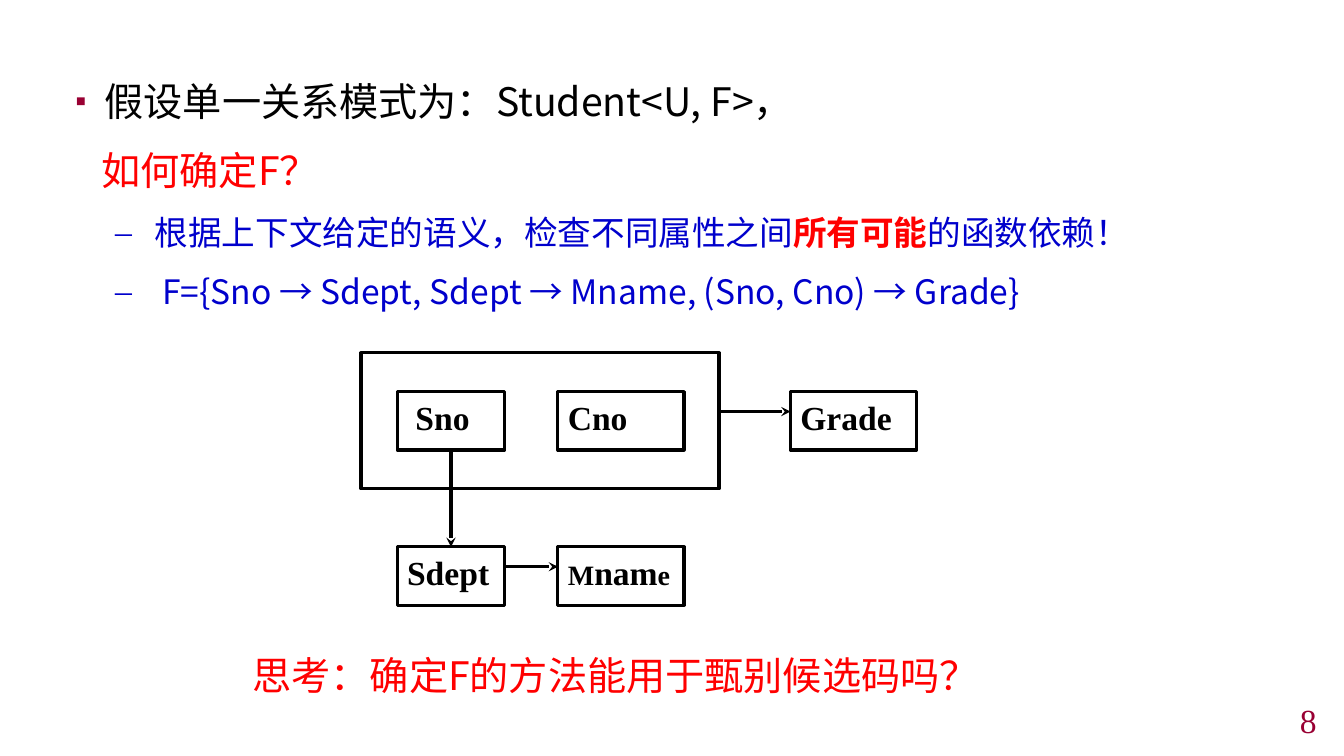
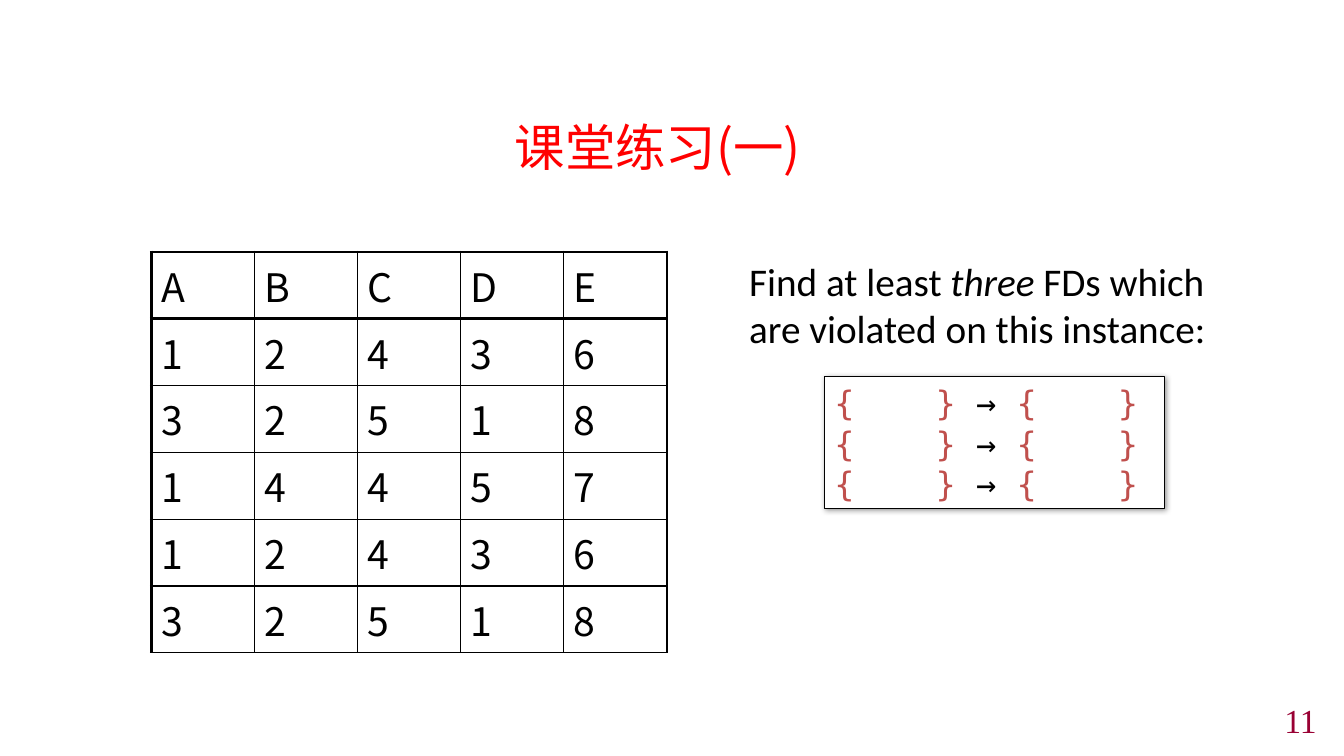
from dataclasses import dataclass

from lxml import etree
from pptx import Presentation
from pptx.dml.color import RGBColor as RGB
from pptx.enum.shapes import MSO_CONNECTOR as CONN, MSO_SHAPE as SHAPE
from pptx.enum.text import MSO_ANCHOR as ANCHOR, PP_ALIGN as ALIGN
from pptx.oxml.ns import qn
from pptx.util import Cm, Pt


@dataclass(frozen=True)
class Theme:
    ink: str = "000000"
    paper: str = "FFFFFF"
    red: str = "FF0000"
    blue: str = "0000CC"
    wine: str = "990033"
    brace: str = "C0504D"
    cjk: str = "Noto Sans CJK SC"
    serif: str = "Times New Roman"
    sans: str = "Calibri"
    mono: str = "DejaVu Sans Mono"
    title: int = 36
    body: int = 28
    small: int = 24
    tiny: int = 20
    spacing: float = 1.3
    thick: float = 2.25
    thin: float = 1
    hair: float = 0.75


T = Theme()


# ---- shared helpers ----
def sub(parent, tag, **attrs):
    return etree.SubElement(parent, qn(tag), attrs)


def add_par(tf, runs, font, size, color, align=ALIGN.LEFT, before=0, spacing=1.0):
    """Add a paragraph; each run is a text or (text, {color, size, bold, italic})."""
    p = tf.paragraphs[0]
    if p.runs:
        p = tf.add_paragraph()
    p.alignment = align
    p.line_spacing = spacing
    p.space_before = Pt(before)
    for item in runs:
        text, look = (item, {}) if isinstance(item, str) else item
        r = p.add_run()
        r.text = text
        r.font.name = font
        r.font.size = Pt(look.get("size", size))
        r.font.bold = look.get("bold", False)
        r.font.italic = look.get("italic", False)
        r.font.color.rgb = RGB.from_string(look.get("color", color))
        sub(r.font._element, "a:ea", typeface=font)
    return p


def set_indent(p, left, first=0, bullet=None, color=None, percent=100, font=None):
    pPr = p._p.get_or_add_pPr()
    pPr.set("marL", str(Cm(left)))
    pPr.set("indent", str(Cm(first)))
    if bullet:
        if color:
            sub(sub(pPr, "a:buClr"), "a:srgbClr", val=color)
        sub(pPr, "a:buSzPct", val=str(percent * 1000))
        if font:
            sub(pPr, "a:buFont", typeface=font)
        sub(pPr, "a:buChar", char=bullet)


def add_text(s, x, y, w, h, anchor=ANCHOR.TOP):
    tf = s.shapes.add_textbox(Cm(x), Cm(y), Cm(w), Cm(h)).text_frame
    tf.word_wrap = True
    tf.vertical_anchor = anchor
    return tf


def add_rect(s, x, y, w, h, fill=None, weight=T.thick):
    sp = s.shapes.add_shape(SHAPE.RECTANGLE, Cm(x), Cm(y), Cm(w), Cm(h))
    sp.shadow.inherit = False
    if fill:
        sp.fill.solid()
        sp.fill.fore_color.rgb = RGB.from_string(fill)
    else:
        sp.fill.background()
    sp.line.color.rgb = RGB.from_string(T.ink)
    sp.line.width = Pt(weight)
    sp.text_frame.word_wrap = True
    sp.text_frame.vertical_anchor = ANCHOR.TOP
    return sp


def add_arrow(s, x1, y1, x2, y2):
    c = s.shapes.add_connector(CONN.STRAIGHT, Cm(x1), Cm(y1), Cm(x2), Cm(y2))
    c.line.color.rgb = RGB.from_string(T.ink)
    c.line.width = Pt(T.thick)
    sub(c.line._get_or_add_ln(), "a:tailEnd", type="stealth")
    sub(c._element.spPr, "a:effectLst")
    return c


def new_slide(prs, number):
    s = prs.slides.add_slide(prs.slide_layouts[6])
    tf = add_text(s, 26.24, 17.75, 7.19, 0.79, ANCHOR.MIDDLE)
    add_par(tf, [number], T.serif, T.small, T.wine, ALIGN.RIGHT)
    return s


# ---- slide 1: dependencies of a relation ----
def add_outline(s, x, y, w, h):
    tf = add_text(s, x, y, w, h)
    p = add_par(tf, ["假设单一关系模式为：Student<U, F>，"], T.cjk, T.body, T.ink,
                spacing=T.spacing)
    set_indent(p, 0.74, -0.74, "▪", T.wine, 80, T.serif)
    p = add_par(tf, ["如何确定F？"], T.cjk, T.body, T.red,
                before=0.2 * T.body, spacing=T.spacing)
    set_indent(p, 0.66)
    details = [
        ["根据上下文给定的语义，检查不同属性之间",
         ("所有可能", {"color": T.red, "bold": True}), "的函数依赖！"],
        [" F={Sno → Sdept, Sdept → Mname, (Sno, Cno) → Grade}"],
    ]
    for runs in details:
        p = add_par(tf, runs, T.cjk, T.small, T.blue,
                    before=0.2 * T.small, spacing=T.spacing)
        set_indent(p, 2, -1, "–")


def add_diagram(s, x, y):
    key_w, key_h = 9.02, 3.43
    narrow, wide, box_h = 2.71, 3.18, 1.47
    left, middle, right = x + 0.91, x + 4.96, x + 10.82
    upper, lower = y + 0.98, y + 4.89
    arrow_drop = 0.5  # side arrows start this far below a box's top edge

    # composite key and attributes
    add_rect(s, x, y, key_w, key_h)
    tiny = {"size": T.tiny}
    attributes = {
        "Sno": (left, upper, narrow, [" Sno"]),
        "Cno": (middle, upper, wide, ["Cno"]),
        "Sdept": (left, lower, narrow, ["Sdept"]),
        "Mname": (middle, lower, wide, [("M", tiny), "nam", ("e", tiny)]),
        "Grade": (right, upper, wide, ["Grade"]),
    }
    boxes = {}
    for name, (bx, by, bw, runs) in attributes.items():
        sp = boxes[name] = add_rect(s, bx, by, bw, box_h)
        p = add_par(sp.text_frame, runs, T.serif, T.small, T.ink, ALIGN.JUSTIFY)
        for r in p.runs:
            r.font.bold = True

    # dependencies
    mid = left + narrow / 2
    c = add_arrow(s, mid, upper + box_h, mid, lower)
    c.begin_connect(boxes["Sno"], 2)
    c.end_connect(boxes["Sdept"], 0)
    for start, end, top in ((left + narrow, middle, lower),
                            (x + key_w, right, upper)):
        add_arrow(s, start, top + arrow_drop, end, top + arrow_drop)


def build_dependencies(prs):
    s = new_slide(prs, "8")
    add_outline(s, 1.65, 1.47, 30.58, 16.66)
    add_diagram(s, 9.1, 8.89)
    tf = add_text(s, 4.72, 16.28, 21.59, 1.45)
    add_par(tf, ["思考：确定F的方法能用于甄别候选码吗？"], T.cjk, T.body, T.red,
            ALIGN.CENTER)


# ---- slide 2: exercise ----
def set_border(cell, **weights):
    tcPr = cell._tc.get_or_add_tcPr()
    for side in "LRTB":
        ln = sub(tcPr, f"a:ln{side}", w=str(Pt(weights.get(side, T.thin))))
        sub(sub(ln, "a:solidFill"), "a:srgbClr", val=T.ink)


def add_instance(s, x, y, w, h):
    rows = ["ABCDE", "12436", "32518", "14457", "12436", "32518"]
    frame = s.shapes.add_table(len(rows), len(rows[0]), Cm(x), Cm(y), Cm(w), Cm(h))
    table = frame.table
    table.first_row = table.horz_banding = False
    for i, row in enumerate(rows):
        for j, value in enumerate(row):
            cell = table.cell(i, j)
            add_par(cell.text_frame, [value], T.cjk, T.body, T.ink)
            set_border(cell,
                       L=T.thick if j == 0 else T.thin,
                       T=T.thick if i < 2 else T.thin,
                       B=T.thick if i == 0 else T.thin)
            cell.fill.background()


def add_answer_box(s, x, y, w, h):
    sp = add_rect(s, x, y, w, h, T.paper, T.hair)
    effects = sp._element.spPr.find(qn("a:effectLst"))
    shadow = sub(effects, "a:outerShdw", blurRad=str(Pt(4)), dist=str(Pt(1)),
                 dir="2700000", algn="tl", rotWithShape="0")
    sub(sub(shadow, "a:srgbClr", val=T.ink), "a:alpha", val="40000")
    tf = sp.text_frame
    tf.vertical_anchor = ANCHOR.MIDDLE
    for _ in range(3):
        p = add_par(tf, ["{\t} ", ("→ ", {"color": T.ink}), "{\t}"],
                    T.mono, T.small, T.brace)
        tabs = sub(p._p.get_or_add_pPr(), "a:tabLst")
        for stop in (2.55, 7.14):  # closing braces
            sub(tabs, "a:tab", pos=str(Cm(stop)), algn="l")


def build_exercise(prs):
    s = new_slide(prs, "11")
    tf = add_text(s, 1.65, 2.34, 29.85, 15.82)
    add_par(tf, ["课堂练习(一)"], T.cjk, T.title, T.red, ALIGN.CENTER,
            spacing=T.spacing)
    add_instance(s, 3.81, 6.35, 13, 10.1)
    tf = add_text(s, 18.63, 6.35, 12.85, 2.64)
    add_par(tf, ["Find at least ", ("three", {"italic": True}),
                 " FDs which are violated on this instance:"],
            T.sans, T.body, T.ink)
    add_answer_box(s, 20.78, 9.5, 8.57, 3.31)


def main():
    prs = Presentation()
    prs.slide_width, prs.slide_height = Cm(33.87), Cm(19.05)
    build_dependencies(prs)
    build_exercise(prs)
    prs.save("out.pptx")


if __name__ == "__main__":
    main()
